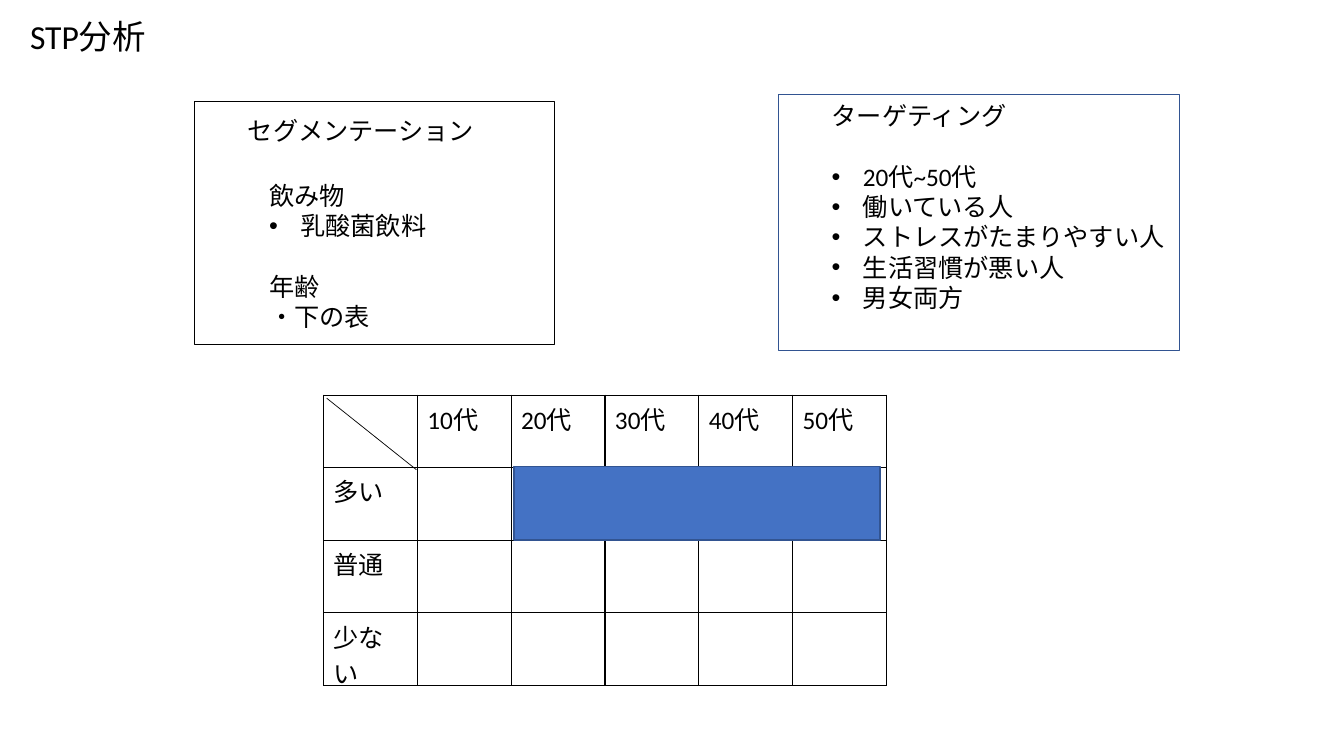
import pptx
import pptx.util
import pptx.dml.color
import pptx.enum.shapes
import pptx.oxml
import pptx.oxml.ns
from dataclasses import dataclass

Inches = pptx.util.Inches
Pt = pptx.util.Pt


@dataclass
class Theme:
    font: str = "Calibri"
    black: str = "000000"
    blue: str = "4472C4"
    dark_blue: str = "325491"
    body: int = 18
    title: int = 24
    blank_line: float = 21.6


theme = Theme()
color = pptx.dml.color.RGBColor.from_string
namespace = pptx.oxml.ns.nsdecls("a")

presentation = pptx.Presentation()
presentation.slide_width = Inches(13.33)
presentation.slide_height = Inches(7.5)
slide = presentation.slides.add_slide(presentation.slide_layouts[6])


def add_run(paragraph, text, size=theme.body):
    run = paragraph.add_run()
    run.text = text
    run.font.name = theme.font
    run.font.size = Pt(size)
    run.font.color.rgb = color(theme.black)


def add_rectangle(box, line, fill=None):
    shape = slide.shapes.add_shape(
        pptx.enum.shapes.MSO_SHAPE.RECTANGLE, *map(Inches, box))
    shape.shadow.inherit = False
    shape.line.color.rgb = color(line)
    shape.line.width = Pt(1)
    if fill:
        shape.fill.solid()
        shape.fill.fore_color.rgb = color(fill)
    else:
        shape.fill.background()


add_rectangle((1.93, 1.01, 3.57, 2.41), theme.black)
add_rectangle((7.72, 0.94, 3.98, 2.54), theme.dark_blue)

text_boxes = [
    ((0.2, 0.11, 1.84, 0.5), theme.title, [("STP分析", False, False)]),
    ((2.36, 1.09, 3.47, 0.4), theme.body, [("セグメンテーション", False, False)]),
    ((2.57, 1.74, 1.85, 2.22), theme.body, [
        ("飲み物", False, False),
        ("乳酸菌飲料", True, False),
        ("年齢", False, True),
        ("・下の表", False, False),
    ]),
    ((8.15, 0.95, 4.56, 2.52), theme.body, [
        ("ターゲティング", False, False),
        ("20代~50代", True, True),
        ("働いている人", True, False),
        ("ストレスがたまりやすい人", True, False),
        ("生活習慣が悪い人", True, False),
        ("男女両方", True, False),
    ]),
]
for box, size, lines in text_boxes:
    text_frame = slide.shapes.add_textbox(*map(Inches, box)).text_frame
    text_frame.word_wrap = True
    for index, (text, bulleted, gap_before) in enumerate(lines):
        paragraph = text_frame.add_paragraph() if index else text_frame.paragraphs[0]
        if gap_before:
            paragraph.space_before = Pt(theme.blank_line)
        if bulleted:
            properties = paragraph._p.get_or_add_pPr()
            properties.set("marL", str(Inches(0.31)))
            properties.set("indent", str(Inches(-0.31)))
            properties.append(pptx.oxml.parse_xml(f'<a:buFont {namespace} typeface="Arial"/>'))
            properties.append(pptx.oxml.parse_xml(f'<a:buChar {namespace} char="•"/>'))
        add_run(paragraph, text, size)

ages = ["", "10代", "20代", "30代", "40代", "50代"]
amounts = ["多い", "普通", "少ない"]
rows = [ages] + [[amount] + [""] * (len(ages) - 1) for amount in amounts]
table = slide.shapes.add_table(
    len(rows), len(ages), Inches(3.21), Inches(3.92), Inches(5.58), Inches(2.89)).table
table.first_row = False
table.horz_banding = False
for column in table.columns:
    column.width = Inches(0.93)
for row, texts in zip(table.rows, rows):
    row.height = Inches(0.72)
    for cell, text in zip(row.cells, texts):
        cell.fill.background()
        for index, side in enumerate("LRTB"):
            cell._tc.get_or_add_tcPr().insert(index, pptx.oxml.parse_xml(
                f'<a:ln{side} {namespace} w="{Pt(1)}"><a:solidFill>'
                f'<a:srgbClr val="{theme.black}"/></a:solidFill></a:ln{side}>'))
        if text:
            add_run(cell.text_frame.paragraphs[0], text)

add_rectangle((5.1, 4.63, 3.63, 0.73), theme.dark_blue, theme.blue)

diagonal = slide.shapes.add_connector(
    pptx.enum.shapes.MSO_CONNECTOR.STRAIGHT,
    Inches(3.24), Inches(3.95), Inches(4.13), Inches(4.66))
diagonal.line.color.rgb = color(theme.black)
diagonal.line.width = Pt(0.5)
diagonal._element.spPr.append(pptx.oxml.parse_xml(f"<a:effectLst {namespace}/>"))

presentation.save("out.pptx")
